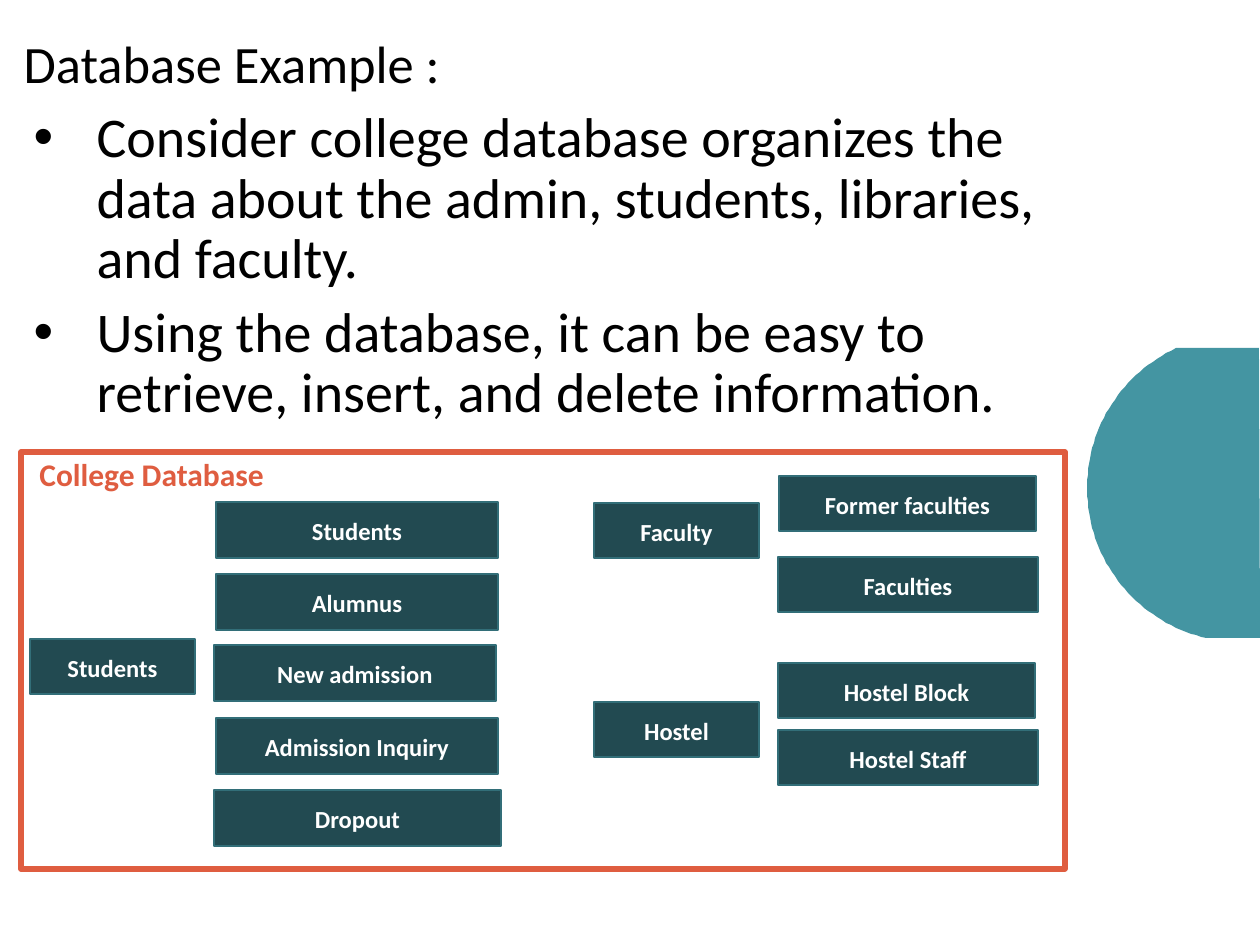
import math

from pptx import Presentation
from pptx import util as u
from pptx.dml.color import RGBColor
from pptx.enum import shapes, text

PX = 914400 / 126  # EMU per px


def px(*lengths):
    return [u.Emu(round(n * PX)) for n in lengths]


def color(hex_string):
    return RGBColor.from_string(hex_string)


deck = Presentation()
deck.slide_width, deck.slide_height = px(1260, 945)
slide = deck.slides.add_slide(deck.slide_layouts[1])

# Title and bullet list
title, bullets = slide.placeholders
title.left, title.top, title.width, title.height = px(11, 32, 662, 94)
bullets.left, bullets.top, bullets.width, bullets.height = px(21, 103, 1070, 344)
title.text_frame.text = "Database Example :"
bullets.text_frame.text = (
    "Consider college database organizes the data about the admin, students, "
    "libraries, and faculty.\n"
    "Using the database, it can be easy to retrieve, insert, and delete information."
)
for holder, size, space in ((title, 30, 0), (bullets, 32, 7.5)):
    frame = holder.text_frame
    frame.vertical_anchor = text.MSO_ANCHOR.TOP
    frame.auto_size = text.MSO_AUTO_SIZE.NONE
    for line in frame.paragraphs:
        line.alignment = text.PP_ALIGN.LEFT
        line.line_spacing = 0.9
        line.space_before = u.Pt(space)
        line.font.name = "Calibri"
        line.font.size = u.Pt(size)
        line.font.color.rgb = color("000000")
for line in bullets.text_frame.paragraphs:
    indent = line._p.get_or_add_pPr()
    indent.set("marL", str(u.Inches(0.5)))
    indent.set("indent", str(-u.Inches(0.5)))

# Teal circle cut off by the right edge
center_x, center_y, radius = 1241, 488, 154
arc = [
    (center_x + radius * math.cos(math.radians(angle)),
     center_y + radius * math.sin(math.radians(angle)))
    for angle in range(103, 246, 2)
]
outline = slide.shapes.build_freeform(1259, 348, scale=PX)
outline.add_line_segments([(1260, 638)] + arc, close=True)
circle = outline.convert_to_shape()
circle.shadow.inherit = False
circle.fill.solid()
circle.fill.fore_color.rgb = color("4495A2")
circle.line.fill.background()

# Database entities: label, left, top, width, height
diagram = slide.shapes.add_group_shape().shapes
entities = [
    ("Students", 30, 639, 165, 55),
    ("Students", 216, 502, 282, 56),
    ("Alumnus", 216, 574, 282, 56),
    ("New admission", 214, 645, 282, 56),
    ("Admission Inquiry", 216, 718, 282, 56),
    ("Dropout", 214, 790, 287, 56),
    ("Faculty", 594, 503, 165, 55),
    ("Former faculties", 779, 476, 257, 55),
    ("Faculties", 778, 557, 260, 55),
    ("Hostel", 594, 702, 165, 55),
    ("Hostel Block", 778, 663, 257, 55),
    ("Hostel Staff", 778, 730, 260, 55),
]
for label, *area in entities:
    entity = diagram.add_shape(shapes.MSO_SHAPE.RECTANGLE, *px(*area))
    entity.shadow.inherit = False
    entity.fill.solid()
    entity.fill.fore_color.rgb = color("224A51")
    entity.line.color.rgb = color("326E78")
    entity.line.width = u.Pt(1)
    entity.text_frame.vertical_anchor = text.MSO_ANCHOR.MIDDLE
    caption = entity.text_frame.paragraphs[0]
    caption.text = label
    caption.alignment = text.PP_ALIGN.CENTER
    caption.line_spacing = 1.07
    caption.space_after = u.Pt(8)
    caption.font.name = "Calibri"
    caption.font.size = u.Pt(14)
    caption.font.bold = True
    caption.font.color.rgb = color("FFFFFF")

# Frame and heading of the database
border = diagram.add_shape(shapes.MSO_SHAPE.RECTANGLE, *px(21, 452, 1044, 417))
border.shadow.inherit = False
border.fill.background()
border.line.color.rgb = color("DF5D40")
border.line.width = u.Pt(3)

heading = diagram.add_textbox(*px(27, 449, 670, 50)).text_frame
heading.word_wrap = True
heading.auto_size = text.MSO_AUTO_SIZE.SHAPE_TO_FIT_TEXT
database = heading.paragraphs[0]
database.text = "College Database"
database.font.name = "Calibri"
database.font.size = u.Pt(18)
database.font.bold = True
database.font.color.rgb = color("DF5D40")

deck.save("out.pptx")
